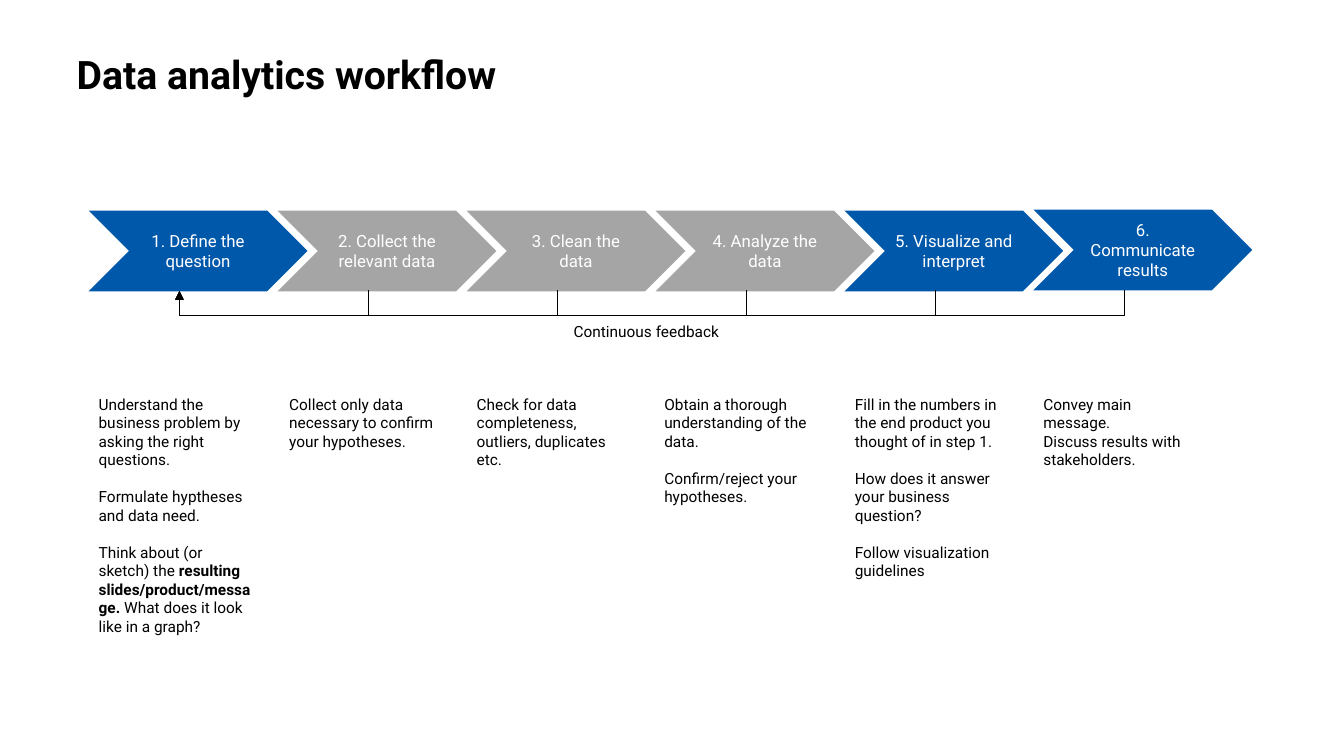
import pptx
import pptx.util
import pptx.dml.color
import pptx.enum.shapes
import pptx.enum.text
import pptx.oxml.ns
import lxml.etree

Inches = pptx.util.Inches
Pt = pptx.util.Pt
qn = pptx.oxml.ns.qn
ANCHOR = pptx.enum.text.MSO_ANCHOR
ALIGN = pptx.enum.text.PP_ALIGN
BLUE, GRAY, BLACK, WHITE = "0058AB", "A5A5A5", "000000", "FFFFFF"


def color(value):
    return pptx.dml.color.RGBColor.from_string(value)


def style(paragraph, size, value):
    paragraph.font.name = "Roboto"
    paragraph.font.size = Pt(size)
    paragraph.font.color.rgb = color(value)


steps = [
    ("1. Define the question", BLUE, 2.09, 0.88, 13.2, [
        "Understand the business problem by asking the right questions.",
        "Formulate hyptheses and data need.",
        "Think about (or sketch) the *resulting slides/product/message. *What does it look like in a graph?",
    ]),
    ("2. Collect the relevant data", GRAY, 2.09, 2.77, 0, [
        "Collect only data necessary to confirm your hypotheses.",
    ]),
    ("3. Clean the data", GRAY, 2.09, 4.63, 0, [
        "Check for data completeness, outliers, duplicates etc.",
    ]),
    ("4. Analyze the data", GRAY, 2.09, 6.49, 13.2, [
        "Obtain a thorough understanding of the data.",
        "Confirm/reject your hypotheses.",
    ]),
    ("5. Visualize and interpret", BLUE, 2.09, 8.38, 13.2, [
        "Fill in the numbers in the end product you thought of in step 1.",
        "How does it answer your business question?",
        "Follow visualization guidelines",
    ]),
    ("6. Communicate results", BLUE, 2.08, 10.25, 0, [
        "Convey main message.",
        "Discuss results with stakeholders.",
    ]),
]

presentation = pptx.Presentation()
presentation.slide_width = Inches(13.33)
presentation.slide_height = Inches(7.5)
slide = presentation.slides.add_slide(presentation.slide_layouts[5])

title = slide.shapes.title
title.left, title.top = Inches(0.76), Inches(0.3)
title.width, title.height = Inches(11.98), Inches(0.72)
title.text_frame.auto_size = pptx.enum.text.MSO_AUTO_SIZE.NONE
title.text_frame.vertical_anchor = ANCHOR.BOTTOM
title.text_frame.margin_left = 0
title.text_frame.text = "Data analytics workflow"
paragraph = title.text_frame.paragraphs[0]
paragraph.alignment = ALIGN.LEFT
paragraph.line_spacing = 0.9
style(paragraph, 28, BLACK)
paragraph.font.bold = True

first_left, last_left = 0.88, 10.25
step_pitch = (last_left - first_left) / (len(steps) - 1)

for number, (name, fill, top, note_left, gap, notes) in enumerate(steps):
    chevron = slide.shapes.add_shape(
        pptx.enum.shapes.MSO_SHAPE.CHEVRON,
        Inches(first_left + step_pitch * number), Inches(top), Inches(2.17), Inches(0.8))
    chevron.shadow.inherit = False
    chevron.fill.solid()
    chevron.fill.fore_color.rgb = color(fill)
    chevron.line.fill.background()
    chevron.text_frame.word_wrap = True
    chevron.text_frame.vertical_anchor = ANCHOR.MIDDLE
    chevron.text_frame.text = name
    paragraph = chevron.text_frame.paragraphs[0]
    paragraph.alignment = ALIGN.CENTER
    style(paragraph, 12, WHITE)

    frame = slide.shapes.add_textbox(
        Inches(note_left), Inches(3.87), Inches(1.76), Inches(2.51)).text_frame
    frame.word_wrap = True
    for index, note in enumerate(notes):
        paragraph = frame.paragraphs[0]
        if index:
            paragraph = frame.add_paragraph()
            paragraph.space_before = Pt(gap)
        style(paragraph, 11, BLACK)
        for part, text in enumerate(note.split("*")):
            run = paragraph.add_run()
            run.text = text
            if part % 2:
                run.font.bold = True

feedback_left, feedback_start, feedback_rise, feedback_drop = 1.78, 2.88, 0.01, 0.25
for number in range(len(steps) - 1, 0, -1):
    length = step_pitch * number
    center_x = feedback_left + length / 2
    center_y = feedback_start + feedback_rise / 2
    connector = slide.shapes.add_connector(
        pptx.enum.shapes.MSO_CONNECTOR.ELBOW,
        Inches(center_x - feedback_rise / 2), Inches(center_y - length / 2),
        Inches(center_x + feedback_rise / 2), Inches(center_y + length / 2))
    connector.line.color.rgb = color(BLACK)
    connector.line.width = Pt(0.5)
    properties = connector._element.spPr
    properties.find(qn("a:xfrm")).set("rot", str(90 * 60000))
    guides = properties.find(qn("a:prstGeom")).find(qn("a:avLst"))
    guide = lxml.etree.SubElement(guides, qn("a:gd"))
    guide.set("name", "adj1")
    guide.set("fmla", f"val {round(feedback_drop / feedback_rise * 100000)}")
    arrowhead = lxml.etree.SubElement(connector.line._get_or_add_ln(), qn("a:tailEnd"))
    arrowhead.set("type", "triangle")
    lxml.etree.SubElement(properties, qn("a:effectLst"))

label = slide.shapes.add_textbox(Inches(5.59), Inches(3.15), Inches(1.76), Inches(0.29))
label.text_frame.word_wrap = True
label.text_frame.text = "Continuous feedback"
style(label.text_frame.paragraphs[0], 11, BLACK)

presentation.save("out.pptx")
